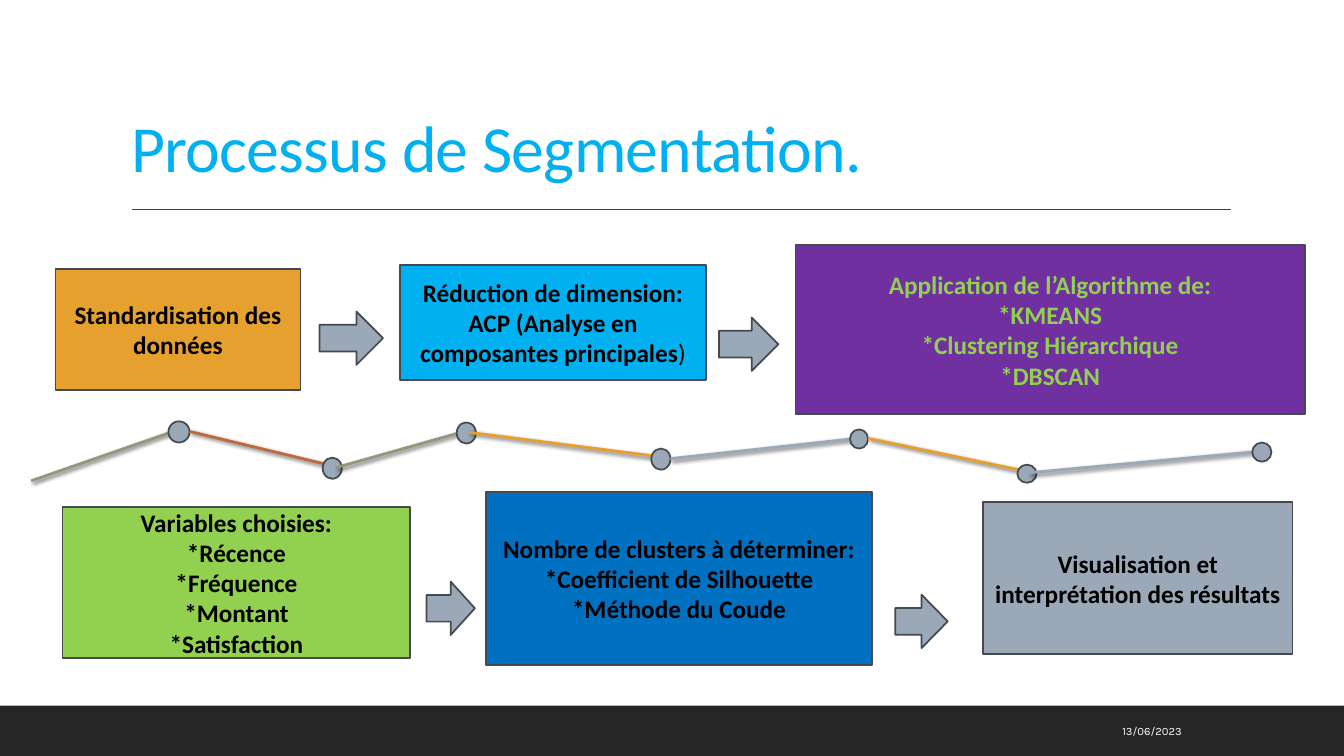
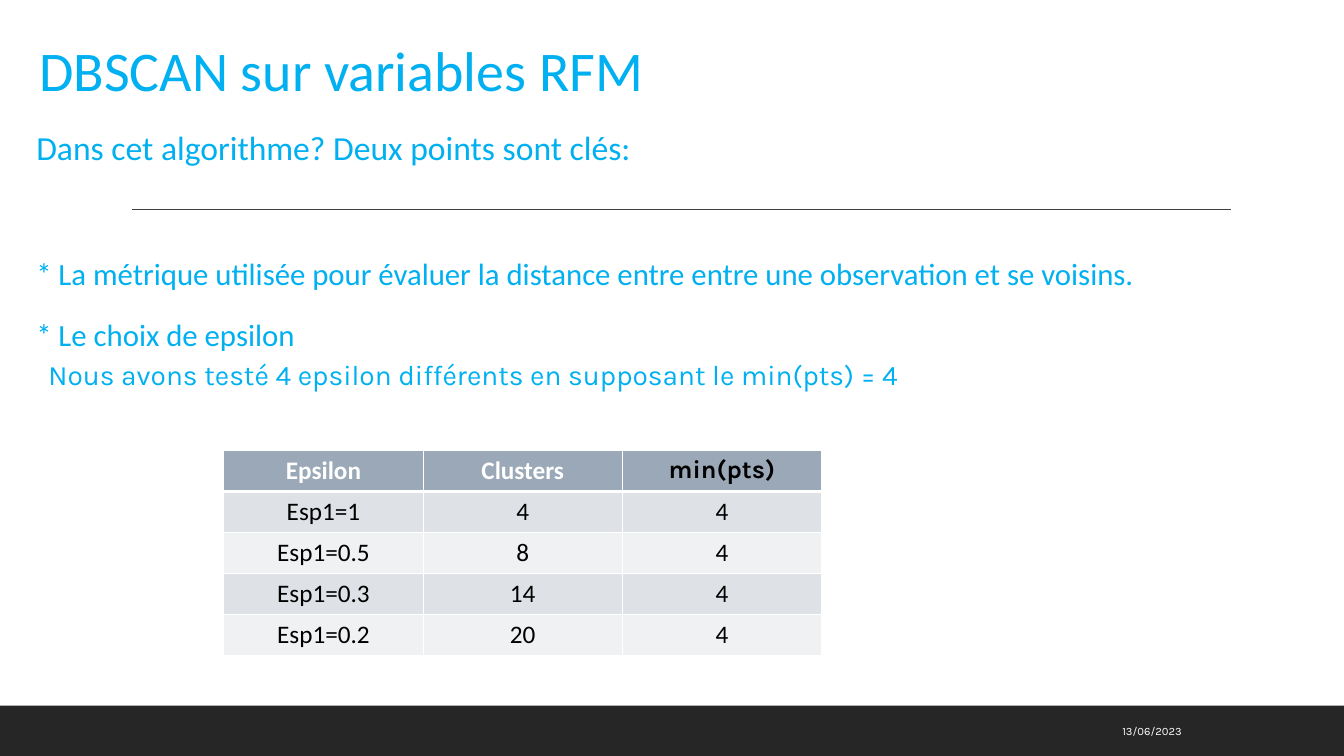
from dataclasses import dataclass
from typing import NamedTuple

from lxml.etree import SubElement
from pptx import Presentation
from pptx.dml.color import RGBColor
from pptx.enum.shapes import MSO_CONNECTOR, MSO_SHAPE
from pptx.enum.text import MSO_ANCHOR, MSO_AUTO_SIZE, PP_ALIGN
from pptx.oxml.ns import qn
from pptx.util import Inches, Pt


@dataclass(frozen=True)
class Theme:
    """Colours, fonts and type sizes of the deck."""
    text_font: str = "Calibri"
    accent_font: str = "Karla"
    sky: str = "00B0F0"
    slate: str = "9BA8B7"
    outline: str = "444A50"
    amber: str = "E6A02E"
    purple: str = "7030A0"
    green: str = "92D050"
    blue: str = "0070C0"
    olive: str = "92987A"
    rust: str = "BF6A3B"
    band: str = "262626"
    rule: str = "404040"
    black: str = "000000"
    white: str = "FFFFFF"
    dark_row: str = "DEE1E6"
    light_row: str = "EFF1F3"
    title_size: float = 47
    topic_size: float = 40
    lead_size: float = 24
    point_size: float = 22
    note_size: float = 20
    label_size: float = 18
    date_size: float = 8


THEME = Theme()


class Box(NamedTuple):
    """A rectangle in inches."""
    left: float
    top: float
    width: float
    height: float

    def inside(self, left, top, width, height):
        """Return a box placed relative to this one."""
        return Box(self.left + left, self.top + top, width, height)

    def lengths(self):
        """Return the four lengths python-pptx expects."""
        return [Inches(value) for value in self]


def set_font(font, size, colour, name=THEME.text_font, bold=False):
    """Format a paragraph or run font."""
    font.name, font.size, font.bold = name, Pt(size), bold
    font.color.rgb = RGBColor.from_string(colour)


def clear_insets(frame):
    """Remove the margins and automatic fitting of a text frame."""
    frame.margin_left = frame.margin_right = frame.margin_top = frame.margin_bottom = 0
    frame.auto_size = MSO_AUTO_SIZE.NONE
    frame.word_wrap = True


def place(shape, box):
    """Move and size a placeholder."""
    shape.left, shape.top, shape.width, shape.height = box.lengths()


def add_block(page, kind, box, fill, line=THEME.outline):
    """Add a flat preset shape."""
    shape = page.shapes.add_shape(kind, *box.lengths())
    shape.shadow.inherit = False
    shape.fill.solid()
    shape.fill.fore_color.rgb = RGBColor.from_string(fill)
    if line:
        shape.line.color.rgb = RGBColor.from_string(line)
        shape.line.width = Pt(1.25)
    else:
        shape.line.fill.background()
    return shape


def add_line(page, start, end, colour, width, shadow=False):
    """Add a straight line, with a soft shadow if asked."""
    points = [Inches(value) for value in (*start, *end)]
    line = page.shapes.add_connector(MSO_CONNECTOR.STRAIGHT, *points)
    line.line.color.rgb = RGBColor.from_string(colour)
    line.line.width = Pt(width)
    effects = SubElement(line._element.spPr, qn("a:effectLst"))
    if shadow:
        outer = SubElement(effects, qn("a:outerShdw"), blurRad=str(Pt(3)),
                           dist=str(Pt(2)), dir="2700000", rotWithShape="0")
        tint = SubElement(outer, qn("a:srgbClr"), val=THEME.black)
        SubElement(tint, qn("a:alpha"), val="60000")


def add_frame(page):
    """Add the band, rule and date shared by all slides."""
    add_block(page, MSO_SHAPE.RECTANGLE, Box(0, 7, 13.33, 0.5), THEME.band, None)
    add_line(page, (1.31, 2.08), (12.21, 2.08), THEME.rule, 1)
    date = page.shapes.add_textbox(*Box(8.99, 7.05, 2.83, 0.4).lengths()).text_frame
    date.word_wrap = True
    date.vertical_anchor = MSO_ANCHOR.MIDDLE
    para = date.paragraphs[0]
    para.text = "13/06/2023"
    para.alignment = PP_ALIGN.RIGHT
    set_font(para.font, THEME.date_size, THEME.white, THEME.accent_font)


def add_title(page, box, text, size, tracking=0):
    """Fill the title placeholder, with its text on the bottom of the box."""
    title = page.shapes.title
    place(title, box)
    frame = title.text_frame
    clear_insets(frame)
    frame.vertical_anchor = MSO_ANCHOR.BOTTOM
    para = frame.paragraphs[0]
    span = para.add_run()
    span.text = text
    para.alignment = PP_ALIGN.LEFT
    para.line_spacing = 0.9
    set_font(para.font, size, THEME.sky)
    if tracking:
        span._r.get_or_add_rPr().set("spc", str(tracking))


def add_step(page, box, fill, lines, colour=THEME.black, tail=""):
    """Add one process step; the tail ends its last line in regular weight."""
    frame = add_block(page, MSO_SHAPE.RECTANGLE, box, fill).text_frame
    frame.vertical_anchor = MSO_ANCHOR.MIDDLE
    frame.text = "\n".join(lines)
    for para in frame.paragraphs:
        para.alignment = PP_ALIGN.CENTER
        set_font(para.font, THEME.label_size, colour, bold=True)
    if tail:
        span = para.add_run()
        span.text = tail
        span.font.bold = False


def add_flow(page, box, steps, arrows):
    """Add a row of steps and the arrows between them."""
    for place_in_row, *look in steps:
        add_step(page, box.inside(*place_in_row), *look)
    for left, top, width in arrows:
        add_block(page, MSO_SHAPE.RIGHT_ARROW, box.inside(left, top, width, 0.53),
                  THEME.slate)


def add_timeline(page, box):
    """Add the zigzag: each segment is followed by the node it leads to."""
    segments = [
        ((0, 0.59), (1.38, 0.11), THEME.olive, (1.36, 0, 0.21, 0.21)),
        ((1.57, 0.1), (2.9, 0.42), THEME.rust, (2.89, 0.36, 0.19, 0.21)),
        ((3.02, 0.46), (4.26, 0.11), THEME.olive, (4.22, 0.01, 0.19, 0.21)),
        ((4.34, 0.11), (6.15, 0.34), THEME.amber, (6.15, 0.27, 0.19, 0.21)),
        ((6.34, 0.37), (8.19, 0.17), THEME.slate, (8.12, 0.08, 0.18, 0.19)),
        ((8.3, 0.17), (9.84, 0.49), THEME.amber, (9.78, 0.43, 0.19, 0.18)),
        ((9.9, 0.51), (12.17, 0.3), THEME.slate, (12.11, 0.21, 0.19, 0.19)),
    ]
    for start, end, colour, node in segments:
        ends = [(box.left + x, box.top + y) for x, y in (start, end)]
        add_line(page, *ends, colour, 2, shadow=True)
        add_block(page, MSO_SHAPE.FLOWCHART_CONNECTOR, box.inside(*node), THEME.slate)


def add_points(page, box):
    """Fill the body placeholder with the key points."""
    body = page.placeholders[1]
    place(body, box)
    frame = body.text_frame
    clear_insets(frame)
    frame.vertical_anchor = MSO_ANCHOR.TOP
    text, accent = THEME.text_font, THEME.accent_font
    points = [
        ("Dans cet algorithme? Deux points sont clés:", THEME.lead_size, text, 0, 0),
        ("* La métrique utilisée pour évaluer la distance entre entre une observation "
         "et se voisins.", THEME.point_size, text, 0, 58),
        ("* Le choix de epsilon", THEME.point_size, text, 0, 12),
        ("Nous avons testé 4 epsilon différents en supposant le min(pts) = 4",
         THEME.note_size, accent, 1, 2),
    ]
    frame.text = "\n".join(point[0] for point in points)
    for para, (_, size, font, level, before) in zip(frame.paragraphs, points):
        para.level = level
        settings = para._p.get_or_add_pPr()
        settings.set("marL", str(Inches(0.22 if level else 0.1)))
        settings.set("indent", "0")
        SubElement(settings, qn("a:buNone"))
        para.alignment = PP_ALIGN.LEFT
        para.line_spacing = 1.0 if level else 1.1
        para.space_before, para.space_after = Pt(before), Pt(2)
        set_font(para.font, size, THEME.sky, font)


def set_borders(cell, top, bottom):
    """Draw white cell borders with the given top and bottom widths."""
    settings = cell._tc.get_or_add_tcPr()
    for side, width in (("lnL", 1), ("lnR", 1), ("lnT", top), ("lnB", bottom)):
        line = SubElement(settings, qn(f"a:{side}"), w=str(Pt(width)))
        fill = SubElement(line, qn("a:solidFill"))
        SubElement(fill, qn("a:srgbClr"), val=THEME.white)


def add_results(page, box):
    """Add the table of clusters found for each epsilon."""
    rows = [
        ("Epsilon", "Clusters", "min(pts)"),
        ("Esp1=1", "4", "4"),
        ("Esp1=0.5", "8", "4"),
        ("Esp1=0.3", "14", "4"),
        ("Esp1=0.2", "20", "4"),
    ]
    table = page.shapes.add_table(len(rows), len(rows[0]), *box.lengths()).table
    for index, values in enumerate(rows):
        header = index == 0
        fill = THEME.slate if header else (THEME.light_row, THEME.dark_row)[index % 2]
        for column, value in enumerate(values):
            cell = table.cell(index, column)
            set_borders(cell, 3 if index == 1 else 1, 3 if header else 1)
            cell.fill.solid()
            cell.fill.fore_color.rgb = RGBColor.from_string(fill)
            cell.text = value
            para = cell.text_frame.paragraphs[0]
            para.alignment = PP_ALIGN.CENTER
            special = header and column == 2
            set_font(para.font, THEME.label_size,
                     THEME.white if header and not special else THEME.black,
                     THEME.accent_font if special else THEME.text_font, header)


def build_process(deck):
    """Build the segmentation process slide."""
    page = deck.slides.add_slide(deck.slide_layouts[5])
    add_frame(page)
    add_title(page, Box(1.3, 0.36, 10.8, 1.49), "Processus de Segmentation.",
              THEME.title_size, -50)
    add_flow(page, Box(0.55, 2.43, 12.39, 1.68), [
        ((0, 0.24, 2.43, 1.2), THEME.amber, ["Standardisation des données"]),
        ((3.42, 0.2, 3.03, 1.14), THEME.sky,
         ["Réduction de dimension:", "ACP (Analyse en composantes principales"],
         THEME.black, ")"),
        ((7.34, 0, 5.05, 1.68), THEME.purple,
         ["Application de l’Algorithme de:", "*KMEANS", "*Clustering Hiérarchique",
          "*DBSCAN"], THEME.green),
    ], [(2.62, 0.66, 0.63), (6.58, 0.72, 0.59)])
    add_flow(page, Box(0.62, 4.88, 12.2, 1.72), [
        ((0, 0.15, 3.45, 1.5), THEME.green,
         ["Variables choisies:", "*Récence", "*Fréquence", "*Montant", "*Satisfaction"]),
        ((4.2, 0, 3.83, 1.72), THEME.blue,
         ["Nombre de clusters à déterminer:", "*Coefficient de Silhouette",
          "*Méthode du Coude"]),
        ((9.13, 0.1, 3.07, 1.51), THEME.slate,
         ["Visualisation et interprétation des résultats"]),
    ], [(3.61, 0.89, 0.48), (8.26, 1.02, 0.52)])
    add_timeline(page, Box(0.31, 4.18, 12.3, 0.61))


def build_dbscan(deck):
    """Build the DBSCAN slide."""
    page = deck.slides.add_slide(deck.slide_layouts[1])
    add_frame(page)
    add_title(page, Box(0.39, 0.28, 12.4, 0.75), "DBSCAN sur variables RFM",
              THEME.topic_size)
    add_points(page, Box(0.26, 1.22, 12.64, 2.9))
    add_results(page, Box(2.22, 4.47, 5.93, 2.03))


def main():
    """Build and save the deck."""
    deck = Presentation()
    deck.slide_width, deck.slide_height = Inches(13.33), Inches(7.5)
    build_process(deck)
    build_dbscan(deck)
    deck.save("out.pptx")


if __name__ == "__main__":
    main()
